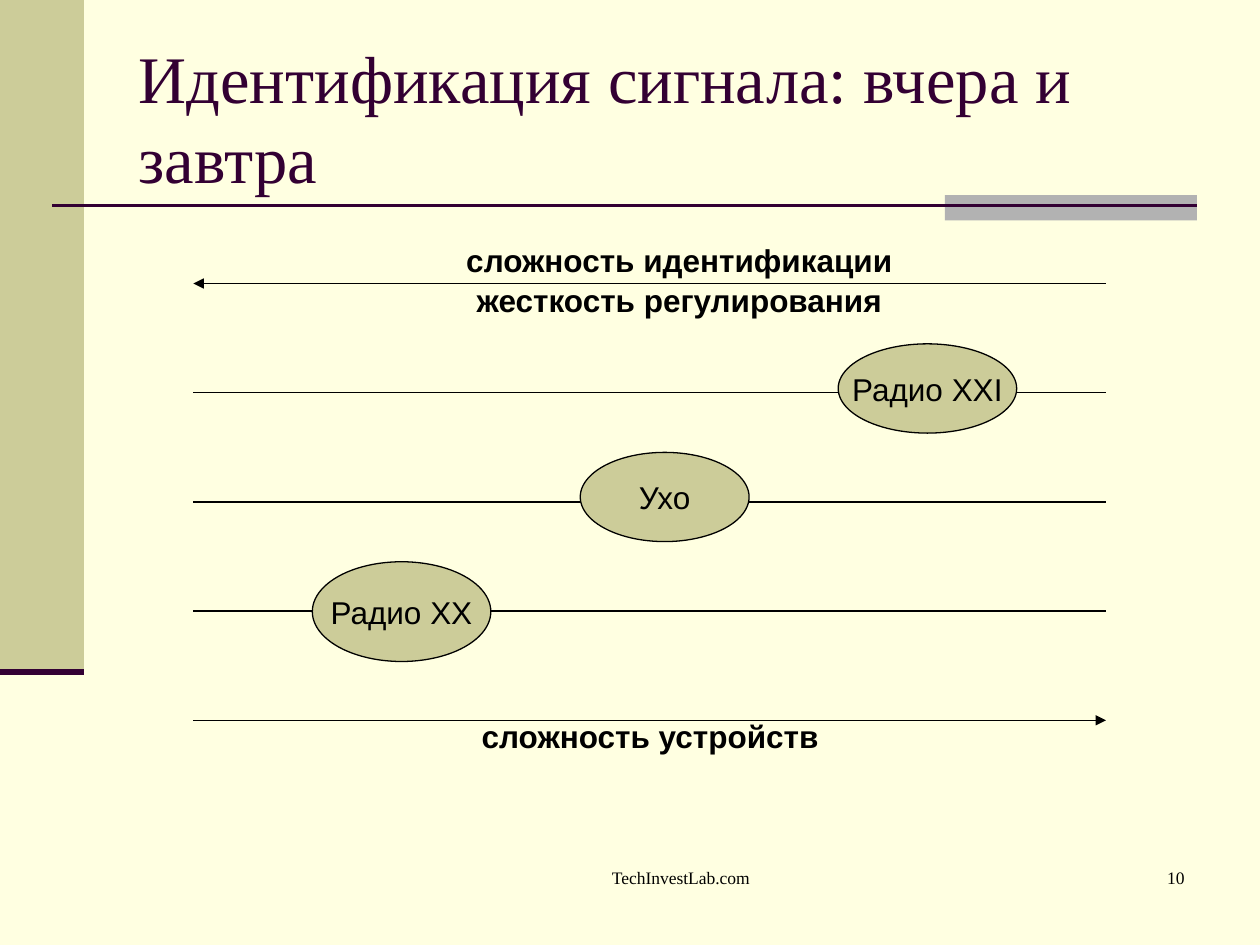
import pptx
import pptx.util
import pptx.dml.color
import pptx.enum.shapes
import pptx.enum.text
import pptx.oxml
import pptx.oxml.ns

Pt = pptx.util.Pt
ALIGN = pptx.enum.text.PP_ALIGN
ANCHOR = pptx.enum.text.MSO_ANCHOR
SHAPE = pptx.enum.shapes.MSO_SHAPE
SERIF, SANS = "Times New Roman", "Arial"
PLUM, OLIVE, GREY, BLACK, CREAM = "330033", "CCCC99", "B2B2B2", "000000", "FFFFE1"


def color(hex_string):
    return pptx.dml.color.RGBColor.from_string(hex_string)


class SlideBuilder:
    def __init__(self, slide):
        self.slide = slide
        fill = slide.background.fill
        fill.solid()
        fill.fore_color.rgb = color(CREAM)

    def add_text(self, tf, text, size, font, ink=BLACK, bold=False,
                 align=ALIGN.CENTER, anchor=ANCHOR.TOP, wrap=True):
        tf.auto_size = pptx.enum.text.MSO_AUTO_SIZE.NONE
        tf.word_wrap = wrap
        tf.vertical_anchor = anchor
        p = tf.paragraphs[0]
        p.alignment = align
        r = p.add_run()
        r.text = text
        r.font.size = Pt(size)
        r.font.name = font
        r.font.bold = bold
        r.font.color.rgb = color(ink)

    def title(self, text, x, y, w, h):
        sp = self.slide.shapes.title
        sp.left, sp.top, sp.width, sp.height = Pt(x), Pt(y), Pt(w), Pt(h)
        self.add_text(sp.text_frame, text, 38, SERIF, PLUM,
                      align=ALIGN.LEFT, anchor=ANCHOR.MIDDLE)

    def shape(self, kind, x, y, w, h, fill, line=None):
        sp = self.slide.shapes.add_shape(kind, Pt(x), Pt(y), Pt(w), Pt(h))
        sp.shadow.inherit = False
        sp.fill.solid()
        sp.fill.fore_color.rgb = color(fill)
        if line:
            sp.line.color.rgb = color(line)
            sp.line.width = Pt(0.75)
        else:
            sp.line.fill.background()
        return sp

    def oval(self, text, x, y, w, h):
        sp = self.shape(SHAPE.OVAL, x, y, w, h, OLIVE, BLACK)
        self.add_text(sp.text_frame, text, 18, SANS, anchor=ANCHOR.MIDDLE, wrap=False)

    def line(self, x1, x2, y, ink=BLACK, width=0.75, arrow=False):
        cn = self.slide.shapes.add_connector(
            pptx.enum.shapes.MSO_CONNECTOR.STRAIGHT, Pt(x1), Pt(y), Pt(x2), Pt(y))
        cn.line.color.rgb = color(ink)
        cn.line.width = Pt(width)
        qn = pptx.oxml.ns.qn
        props = cn._element.spPr
        if arrow:
            ln = props.find(qn("a:ln"))
            ln.append(ln.makeelement(qn("a:tailEnd"), {"type": "triangle"}))
        props.append(props.makeelement(qn("a:effectLst"), {}))

    def text(self, text, x, y, w, h, size=18, font=SANS, bold=True, align=ALIGN.CENTER):
        sp = self.slide.shapes.add_textbox(Pt(x), Pt(y), Pt(w), Pt(h))
        self.add_text(sp.text_frame, text, size, font, bold=bold, align=align)


def main():
    prs = pptx.Presentation()
    prs.slide_width, prs.slide_height = Pt(720), Pt(540)
    s = SlideBuilder(prs.slides.add_slide(prs.slide_layouts[5]))

    # Side band and title rule
    s.shape(SHAPE.RECTANGLE, 0, 0, 48, 384, OLIVE)
    s.shape(SHAPE.RECTANGLE, 540, 111.5, 144, 14.5, GREY)
    s.line(30, 684, 117.5, PLUM, 1.5)
    s.line(0, 48, 384, PLUM, 3.5)
    s.title("Идентификация сигнала: вчера и завтра", 72, 21.6, 612, 90)

    # Five evenly spaced scales; the outer two are arrows
    left, right, top, pitch = 110.5, 632, 162, 62.4
    s.line(right, left, top, arrow=True)
    for row in range(1, 4):
        s.line(left, right, top + row * pitch)
    s.line(left, right, top + 4 * pitch, arrow=True)

    # Positions on the scales
    s.oval("Радио XXI", 479, 196.5, 102, 51)
    s.oval("Ухо", 331.6, 258.5, 96.5, 51)
    s.oval("Радио XX", 178.5, 321, 102, 57)

    # Scale captions
    for caption, x, y in (("сложность идентификации", 121.7, 134),
                          ("жесткость регулирования", 121.7, 157),
                          ("сложность устройств", 105, 406)):
        s.text(caption, x, y, 533, 29)

    # Footer
    s.text("TechInvestLab.com", 272, 492, 234, 36, 10, SERIF, False)
    s.text("10", 534, 492, 150, 36, 10, SERIF, False, ALIGN.RIGHT)

    prs.save("out.pptx")


if __name__ == "__main__":
    main()
